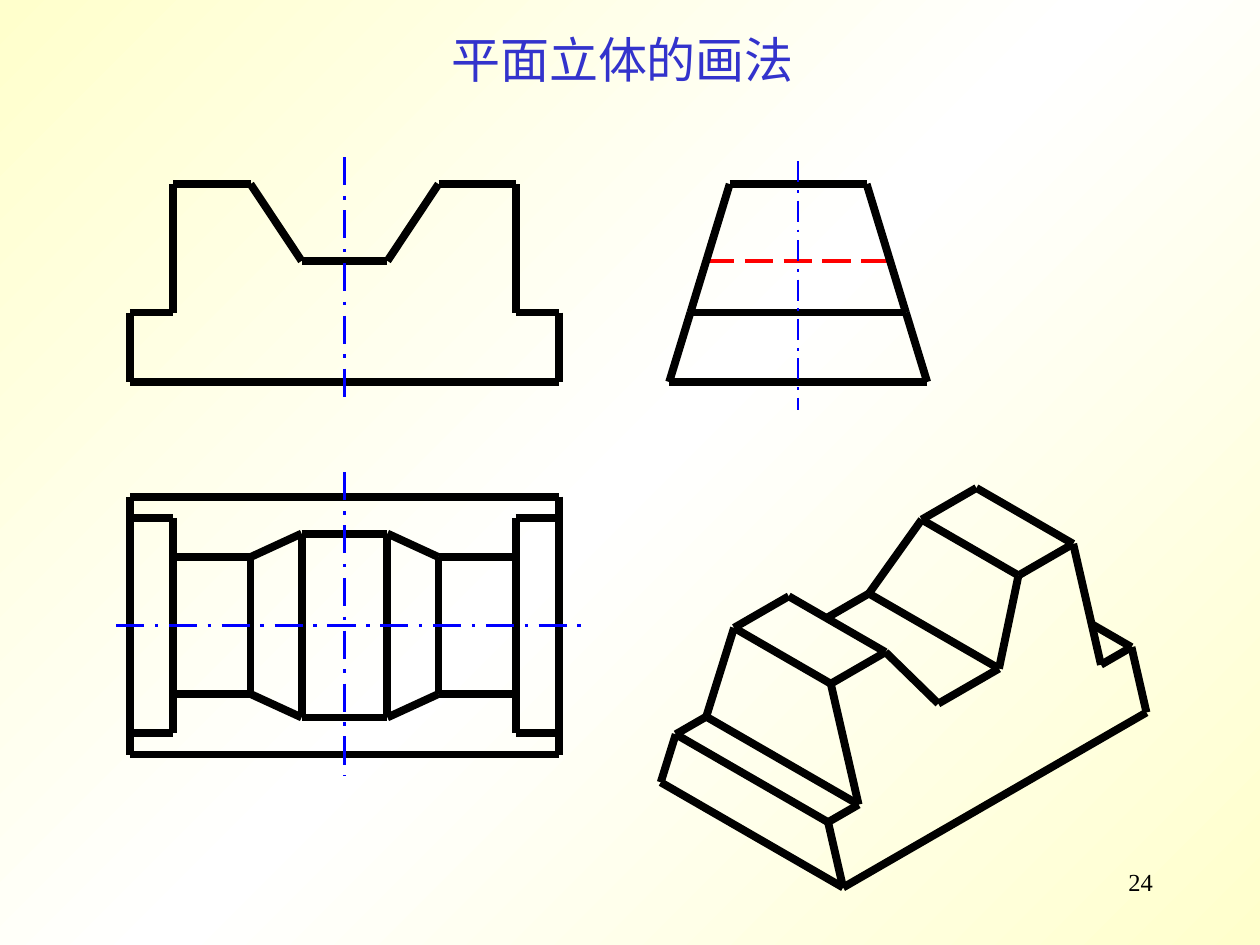
from copy import deepcopy
from itertools import pairwise

from lxml import etree
from pptx import Presentation
from pptx.dml.color import RGBColor
from pptx.enum.dml import MSO_LINE
from pptx.enum.shapes import MSO_CONNECTOR
from pptx.enum.text import PP_ALIGN
from pptx.oxml.ns import qn
from pptx.util import Cm, Pt

STRAIGHT = MSO_CONNECTOR.STRAIGHT
CENTER, RIGHT = PP_ALIGN.CENTER, PP_ALIGN.RIGHT
LONG_DASH, DASH_DOT = MSO_LINE.LONG_DASH, MSO_LINE.LONG_DASH_DOT

BLACK, BLUE, RED = "000000", "0000FF", "FF0000"
LENGTH, DEPTH, HEIGHT = 8.65, 5.2, 3.99
STEP, NOTCH = 1.4, 2.44
TOP_INSET = 1.22


def color(value):
    """Turn a hex string into a colour."""
    return RGBColor.from_string(value)


def inset(z):
    """Give how far the sloping sides have moved in at height z."""
    return TOP_INSET * z / HEIGHT


def mirror(points, width):
    """Append the left-right reflection of a half outline."""
    return points + [(width - x, y) for x, y in reversed(points)]


PROFILE = mirror([(0, 0), (0, STEP), (0.87, STEP), (0.87, HEIGHT),
                  (2.43, HEIGHT), (3.46, NOTCH)], LENGTH)


def draw(slide, box, points, line_color=BLACK, width=4.5, dash=None):
    """Join successive points, relative to the box, with straight lines."""
    left, top = box
    for (x1, y1), (x2, y2) in pairwise(points):
        c = slide.shapes.add_connector(STRAIGHT, Cm(left + x1), Cm(top + y1),
                                       Cm(left + x2), Cm(top + y2))
        c.line.color.rgb = color(line_color)
        c.line.width = Pt(width)
        if dash:
            c.line.dash_style = dash
        etree.SubElement(c._element.spPr, qn("a:effectLst"))


def add_axis(slide, box, start, end, width=0):
    """Draw a blue centre line."""
    draw(slide, box, [start, end], BLUE, width, DASH_DOT)


def add_front_view(slide, box):
    """Draw the front view and its centre line."""
    outline = [(x, HEIGHT - z) for x, z in PROFILE]
    draw(slide, box, outline + outline[:1])
    add_axis(slide, box, (LENGTH / 2, -0.54), (LENGTH / 2, 4.44))


def add_top_view(slide, box):
    """Draw the top view and its two centre lines."""
    half = [(x, inset(z)) for x, z in (PROFILE[i] for i in (0, 2, 3, 4, 5))]
    for x, y in mirror(half, LENGTH):
        draw(slide, box, [(x, y), (x, DEPTH - y)])
    ledge = inset(STEP)
    rows = [[(0, 0), (LENGTH, 0)], [(0, ledge), (0.87, ledge)],
            [(LENGTH - 0.87, ledge), (LENGTH, ledge)], mirror(half[2:], LENGTH)]
    for row in rows:
        draw(slide, box, row)
        draw(slide, box, [(x, DEPTH - y) for x, y in row])
    add_axis(slide, box, (-0.28, DEPTH / 2), (9.09, DEPTH / 2))
    add_axis(slide, box, (LENGTH / 2, -0.49), (LENGTH / 2, 5.64))


def add_side_view(slide, box):
    """Draw the side view with its hidden edge and centre line."""
    def level(z):
        return [(inset(z), HEIGHT - z), (DEPTH - inset(z), HEIGHT - z)]

    draw(slide, box, level(NOTCH), RED, 0, LONG_DASH)
    outline = mirror([(inset(z), HEIGHT - z) for z in (0, STEP, HEIGHT)], DEPTH)
    draw(slide, box, outline + outline[:1])
    draw(slide, box, level(STEP))
    add_axis(slide, box, (DEPTH / 2, -0.46), (DEPTH / 2, 4.55), 1.5)


def add_isometric_view(slide, box):
    """Draw the visible edges of the solid in isometric projection."""
    def project(x, d, z):
        return 0.707 * (x + d), 5.95 + 0.408 * (d - x) - 0.816 * z

    far = [project(x, inset(z), z) for x, z in PROFILE]
    near = [project(x, DEPTH - inset(z), z) for x, z in PROFILE]
    draw(slide, box, near + near[:1])
    draw(slide, box, far[:5])
    draw(slide, box, [project(4, inset(NOTCH), NOTCH)] + far[6:9])
    for i in (0, 1, 2, 3, 4, 6, 7, 8):
        draw(slide, box, [far[i], near[i]])
    hidden_from = project(LENGTH, DEPTH - inset(STEP) - 1.1, STEP)
    draw(slide, box, [hidden_from, near[10]])


def add_text(slide, box, text, size, font, text_color, align, wrap=True):
    """Add one line of text in the given box."""
    tf = slide.shapes.add_textbox(*(Cm(v) for v in box)).text_frame
    tf.word_wrap = wrap
    p = tf.paragraphs[0]
    p.text = text
    p.alignment = align
    p.font.size = Pt(size)
    p.font.name = font
    p.font.color.rgb = color(text_color)
    props = p._p.find(".//" + qn("a:defRPr"))
    etree.SubElement(props, qn("a:ea")).set("typeface", font)


def set_background(slide):
    """Fill the background with a diagonal yellow-white-yellow gradient."""
    fill = slide.background.fill
    fill.gradient()
    fill.gradient_angle = 315
    stops = slide._element.find(".//" + qn("a:gsLst"))
    stops.insert(1, deepcopy(stops[0]))
    for stop, position, value in zip(fill.gradient_stops, (0, 0.5, 1),
                                     ("FFFFCC", "FFFFFF", "FFFFCC")):
        stop.position = position
        stop.color.rgb = color(value)


def main():
    """Build and save the slide."""
    prs = Presentation()
    prs.slide_width, prs.slide_height = Cm(25.4), Cm(19.05)
    s = prs.slides.add_slide(prs.slide_layouts[6])
    set_background(s)
    add_text(s, (18.21, 17.35, 5.28, 1.27), "24", 14, "Times New Roman",
             BLACK, RIGHT)
    add_front_view(s, (2.62, 3.71))
    add_top_view(s, (2.62, 10.01))
    add_side_view(s, (13.49, 3.71))
    add_isometric_view(s, (13.32, 9.82))
    add_text(s, (8.84, 0.48, 7.42, 1.45), "平面立体的画法", 28,
             "Noto Sans CJK SC", "3333CC", CENTER, wrap=False)
    prs.save("out.pptx")


if __name__ == "__main__":
    main()
